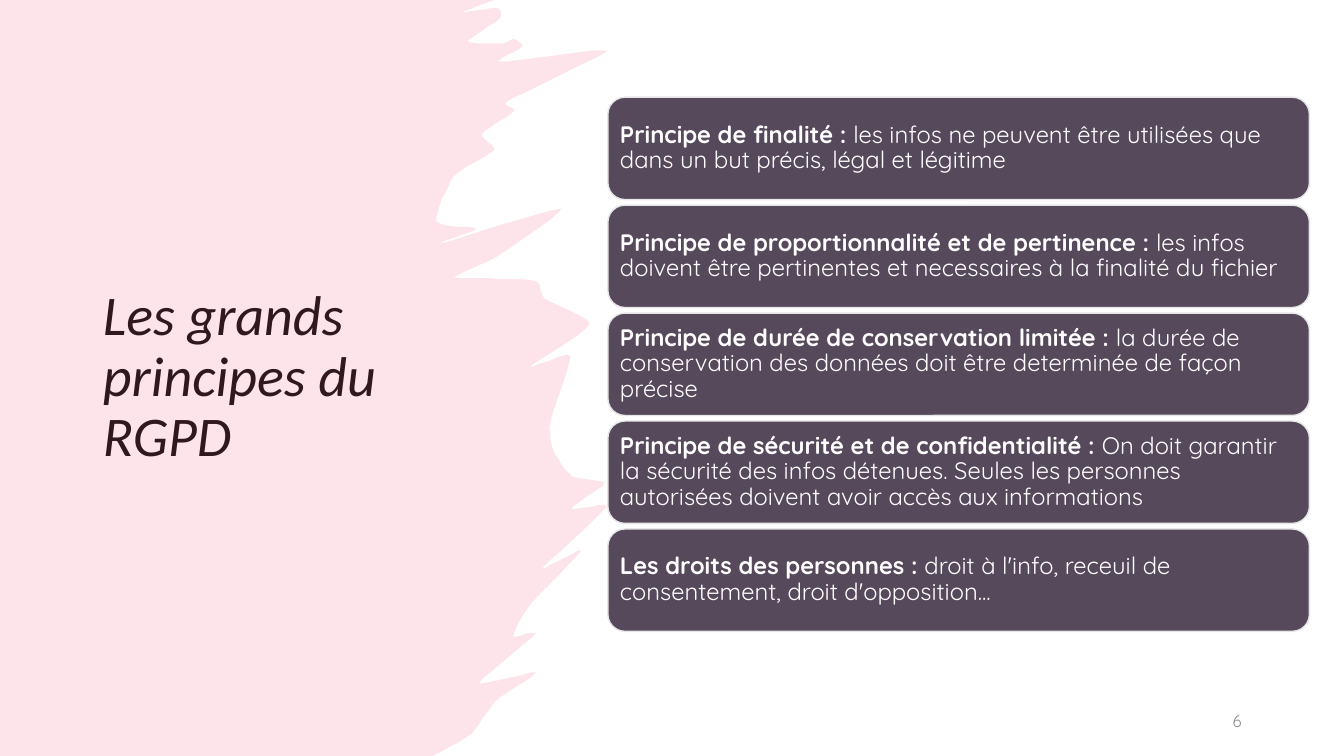
"""Builds the slide on the main principles of the RGPD."""
from dataclasses import dataclass

from lxml import etree
from pptx import Presentation
from pptx.dml.color import RGBColor
from pptx.enum.shapes import MSO_SHAPE
from pptx.enum.text import MSO_ANCHOR, MSO_AUTO_SIZE, PP_ALIGN
from pptx.oxml.ns import qn
from pptx.util import Cm, Pt

ROUNDED = MSO_SHAPE.ROUNDED_RECTANGLE
MIDDLE = MSO_ANCHOR.MIDDLE
NO_AUTOFIT = MSO_AUTO_SIZE.NONE
LEFT, RIGHT = PP_ALIGN.LEFT, PP_ALIGN.RIGHT

TITLE_ONLY = 5
BRUSH_UNIT = Cm(2.54) / 100
CURVE_STEPS = 6
TENSION = 0.3

BRUSH_EDGE = [
    (492, 0), (459, 12), (493, 8), (496, 18), (464, 41), (498, 43), (509, 39), (518, 46),
    (494, 61), (535, 57), (602, 51), (504, 100), (510, 110), (478, 133), (490, 149),
    (450, 175), (433, 220), (473, 227), (435, 242), (557, 207), (494, 254), (451, 275),
    (479, 276), (532, 279), (540, 296), (585, 322), (526, 364), (566, 353), (546, 419),
    (549, 447), (568, 473), (600, 479), (567, 505), (602, 503), (538, 564), (577, 546),
    (527, 599), (509, 631), (531, 629), (475, 678), (532, 667), (491, 696), (468, 728),
    (429, 750),
]

PRINCIPLES = [
    ("Principe de finalité : ",
     "les infos ne peuvent être utilisées que dans un but précis, légal et légitime"),
    ("Principe de proportionnalité et de pertinence :",
     " les infos doivent être pertinentes et necessaires à la finalité du fichier"),
    ("Principe de durée de conservation limitée :",
     " la durée de conservation des données doit être determinée de façon précise"),
    ("Principe de sécurité et de confidentialité : ",
     "On doit garantir la sécurité des infos détenues. "
     "Seules les personnes autorisées doivent avoir accès aux informations"),
    ("Les droits des personnes : ",
     "droit à l'info, receuil de consentement, droit d'opposition..."),
]


@dataclass(frozen=True)
class Theme:
    """Colours, fonts and type sizes of the slide."""
    brush: RGBColor = RGBColor(0xF0, 0x7C, 0x98)
    brush_opacity: int = 20
    card: RGBColor = RGBColor(0x57, 0x49, 0x5C)
    card_edge: RGBColor = RGBColor(0xE7, 0xE6, 0xE6)
    card_text: RGBColor = RGBColor(0xFF, 0xFF, 0xFF)
    title: RGBColor = RGBColor(0, 0, 0)
    number: RGBColor = RGBColor(0x8C, 0x8C, 0x8C)
    title_font: str = "Calibri"
    body_font: str = "Quicksand"
    title_size: int = 40
    card_size: int = 17
    number_size: int = 12
    line_spacing: float = 0.9


def smooth(knots):
    """Return points along a soft curve through the knots."""
    padded = [knots[0], *knots, knots[-1]]
    points = [knots[0]]
    for before, start, end, after in zip(padded, padded[1:], padded[2:], padded[3:]):
        for step in range(1, CURVE_STEPS + 1):
            t = step / CURVE_STEPS
            blend = t * t * (3 - 2 * t)
            leave = TENSION * t * (1 - t) ** 2
            arrive = TENSION * t * t * (t - 1)
            points.append(tuple(
                s + blend * (e - s) + leave * (e - b) + arrive * (a - s)
                for b, s, e, a in zip(before, start, end, after)))
    return points


class SlideBuilder:
    """Holds the theme and the current slide, and draws its elements."""

    def __init__(self, slide, theme):
        """Keep the slide and the theme."""
        self.slide = slide
        self.theme = theme

    def style_run(self, run, font, size, color, bold=False, italic=False):
        """Format one run of text."""
        run.font.name = font
        run.font.size = Pt(size)
        run.font.color.rgb = color
        run.font.bold = bold
        run.font.italic = italic

    def brush_stroke(self):
        """Draw the translucent brush stroke on the left side."""
        outline = self.slide.shapes.build_freeform(0, 0, scale=BRUSH_UNIT)
        outline.add_line_segments(smooth(BRUSH_EDGE) + [(0, 750)], close=True)
        brush = outline.convert_to_shape()
        brush.shadow.inherit = False
        brush.line.fill.background()
        brush.fill.solid()
        brush.fill.fore_color.rgb = self.theme.brush
        color = brush.element.spPr.find(qn("a:solidFill"))[0]
        etree.SubElement(color, qn("a:alpha"), val=str(self.theme.brush_opacity * 1000))

    def title(self, text, left, top, width, height):
        """Fill and place the title placeholder."""
        heading = self.slide.shapes.title
        heading.left, heading.top = Cm(left), Cm(top)
        heading.width, heading.height = Cm(width), Cm(height)
        frame = heading.text_frame
        frame.text = text
        frame.word_wrap = True
        frame.auto_size = NO_AUTOFIT
        frame.vertical_anchor = MIDDLE
        line = frame.paragraphs[0]
        line.alignment = LEFT
        line.line_spacing = self.theme.line_spacing
        self.style_run(line.runs[0], self.theme.title_font, self.theme.title_size,
                       self.theme.title, italic=True)

    def card(self, name, detail, left, top, width, height):
        """Draw one rounded card with a bold name and its explanation."""
        theme = self.theme
        card = self.slide.shapes.add_shape(ROUNDED, Cm(left), Cm(top), Cm(width), Cm(height))
        card.shadow.inherit = False
        card.fill.solid()
        card.fill.fore_color.rgb = theme.card
        card.line.color.rgb = theme.card_edge
        card.line.width = Pt(1)
        frame = card.text_frame
        frame.word_wrap = True
        frame.vertical_anchor = MIDDLE
        frame.margin_left = frame.margin_right = Cm(0.18)
        frame.margin_top = frame.margin_bottom = Cm(0.18)
        principle = frame.paragraphs[0]
        principle.alignment = LEFT
        principle.line_spacing = theme.line_spacing
        for text, bold in ((name, True), (detail, False)):
            run = principle.add_run()
            run.text = text
            self.style_run(run, theme.body_font, theme.card_size, theme.card_text, bold=bold)

    def page_number(self, text, left, top, width, height):
        """Write the page number, aligned to the right."""
        number = self.slide.shapes.add_textbox(Cm(left), Cm(top), Cm(width), Cm(height))
        frame = number.text_frame
        frame.text = text
        frame.word_wrap = True
        frame.vertical_anchor = MIDDLE
        frame.paragraphs[0].alignment = RIGHT
        self.style_run(frame.paragraphs[0].runs[0], self.theme.body_font,
                       self.theme.number_size, self.theme.number)


def main():
    """Build the slide and save it."""
    deck = Presentation()
    deck.slide_width, deck.slide_height = Cm(33.87), Cm(19.05)
    slide = deck.slides.add_slide(deck.slide_layouts[TITLE_ONLY])
    builder = SlideBuilder(slide, Theme())
    builder.brush_stroke()
    builder.title("Les grands principes du RGPD", 2.34, 1.98, 9.78, 15.09)
    builder.page_number("6", 23.92, 17.66, 7.62, 1.01)
    for row, (name, detail) in enumerate(PRINCIPLES):
        builder.card(name, detail, 15.32, 2.45 + row * 2.72, 17.68, 2.58)
    deck.save("out.pptx")


if __name__ == "__main__":
    main()
